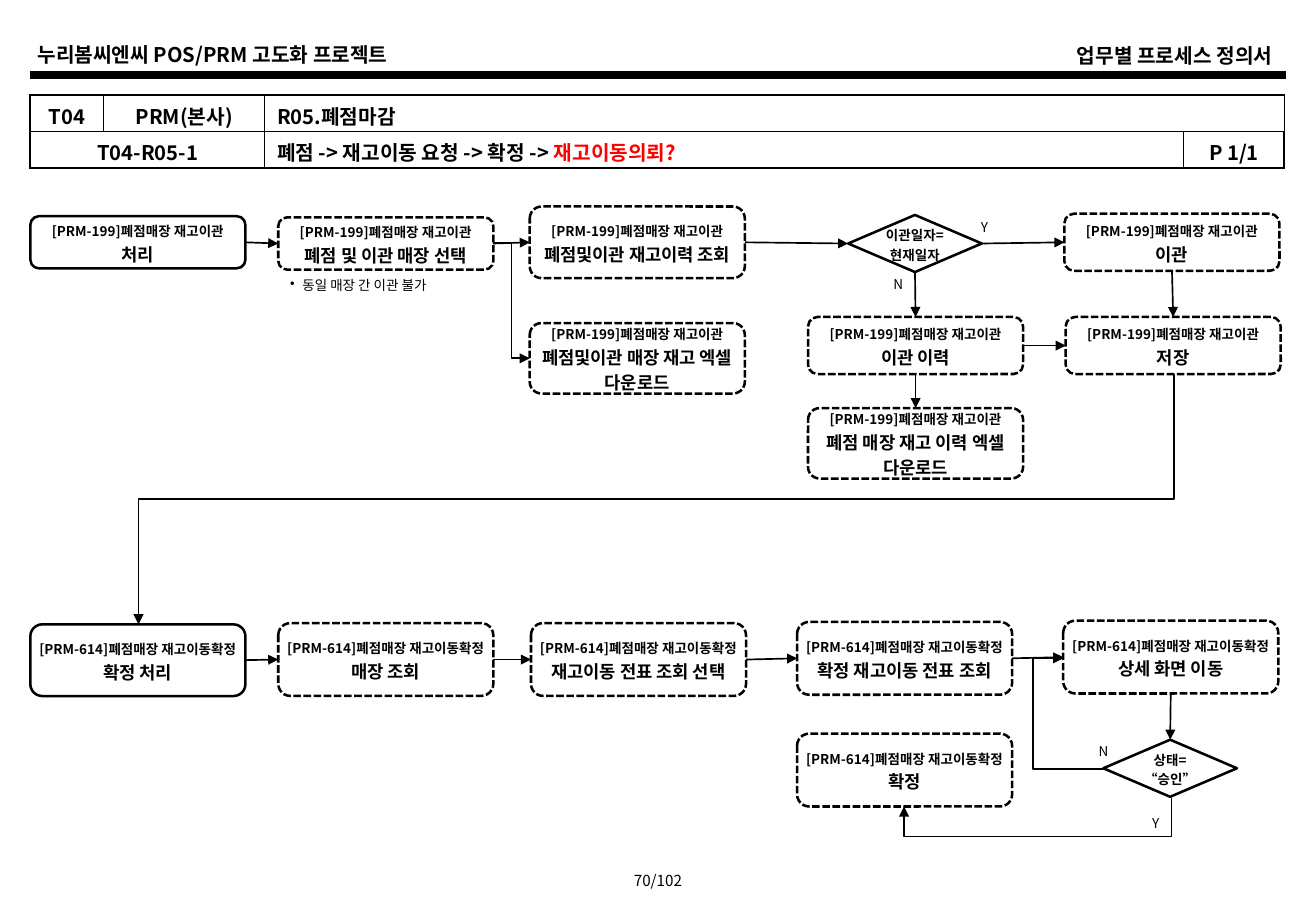
from lxml import etree
from pptx import Presentation, util as u
from pptx.dml.color import RGBColor
from pptx.enum import dml, shapes, text
from pptx.oxml import ns

PX = 9144  # EMU: 100 px to the inch
FONT = "Noto Sans CJK KR"
COLORS = {"ink": "000000", "paper": "FFFFFF", "alert": "FF0000"}
TOP, LEFT, BOTTOM, RIGHT = range(4)
ALIGN = text.PP_ALIGN

STORE_TRANSFER = "[PRM-199]폐점매장 재고이관"
TRANSFER_CONFIRM = "[PRM-614]폐점매장 재고이동확정"
STEP_WIDTH = 177

# key: left, top, height, screen, action
STEPS = {
    "transfer": (25, 178, 43, STORE_TRANSFER, "처리"),
    "pick_stores": (229, 179, 43, STORE_TRANSFER, "폐점 및 이관 매장 선택"),
    "stock_history": (436, 170, 59, STORE_TRANSFER, "폐점및이관 재고이력 조회"),
    "stock_excel": (436, 266, 58, STORE_TRANSFER, "폐점및이관 매장 재고 엑셀 다운로드"),
    "move": (876, 176, 47, STORE_TRANSFER, "이관"),
    "save": (877, 261, 47, STORE_TRANSFER, "저장"),
    "move_history": (665, 261, 47, STORE_TRANSFER, "이관 이력"),
    "history_excel": (665, 336, 58, STORE_TRANSFER, "폐점 매장 재고 이력 엑셀 다운로드"),
    "confirm_start": (25, 514, 59, TRANSFER_CONFIRM, "확정 처리"),
    "find_store": (229, 513, 60, TRANSFER_CONFIRM, "매장 조회"),
    "pick_slip": (437, 513, 60, TRANSFER_CONFIRM, "재고이동 전표 조회 선택"),
    "view_slip": (656, 512, 60, TRANSFER_CONFIRM, "확정 재고이동 전표 조회"),
    "detail": (875, 511, 60, TRANSFER_CONFIRM, "상세 화면 이동"),
    "confirm": (656, 604, 60, TRANSFER_CONFIRM, "확정"),
}
ENTRY_STEPS = {"transfer", "confirm_start"}

DECISIONS = {
    "date_check": (698, 177, "이관일자=", "현재일자"),
    "status_check": (908, 609, "상태=", "“승인”"),
}

ARROWS = [
    ("transfer", RIGHT, "pick_stores", LEFT),
    ("pick_stores", RIGHT, "stock_history", LEFT),
    ("stock_history", RIGHT, "date_check", LEFT),
    ("date_check", RIGHT, "move", LEFT),
    ("date_check", BOTTOM, "move_history", TOP),
    ("move", BOTTOM, "save", TOP),
    ("move_history", RIGHT, "save", LEFT),
    ("move_history", BOTTOM, "history_excel", TOP),
    ("confirm_start", RIGHT, "find_store", LEFT),
    ("find_store", RIGHT, "pick_slip", LEFT),
    ("pick_slip", RIGHT, "view_slip", LEFT),
    ("view_slip", RIGHT, "detail", LEFT),
    ("detail", BOTTOM, "status_check", TOP),
]

# start x, start y, end x, end y, bend as a share of the run, leaves downwards
BENT_ARROWS = [
    (406, 200, 436, 295, 0.5, False),
    (908, 633, 875, 542, 1.75, False),
    (964, 657, 744, 664, 4.52, True),
    (966, 308, 114, 514, 0.5, True),
]

BRANCH_LABELS = [(796, 175, 27, "Y"), (724, 222, 29, "N"),
                 (937, 666, 27, "Y"), (893, 606, 29, "N")]


def px(*lengths):
    return [round(length * PX) for length in lengths]


def rgb(color):
    return RGBColor.from_string(COLORS[color])


def add_xml(parent, tag, **attributes):
    return etree.SubElement(parent, ns.qn(tag), attributes)


def write(frame, *lines, size=8, bold=False, color="ink",
          align=ALIGN.CENTER, spacing=None):
    """Fill a text frame; a line is a list of (text, own format) runs."""
    for number, line in enumerate(lines):
        paragraph = frame.add_paragraph() if number else frame.paragraphs[0]
        paragraph.alignment = align
        if spacing:
            paragraph.line_spacing = spacing
        for words, own in line:
            run = paragraph.add_run()
            run.text = words
            font = run.font
            font.name = FONT
            font.size = u.Pt(own.get("size", size))
            font.bold = bold
            font.color.rgb = rgb(own.get("color", color))
            add_xml(font._element, "a:ea", typeface=FONT)


def add_label(slide, left, top, width, height, words, wrap=True, **style):
    box = slide.shapes.add_textbox(*px(left, top, width, height))
    frame = box.text_frame
    frame.word_wrap = wrap
    frame.vertical_anchor = text.MSO_ANCHOR.MIDDLE
    write(frame, [(words, {})], **style)
    return frame


def add_note(slide, left, top, width, height, words):
    frame = add_label(slide, left, top, width, height, words,
                      wrap=False, align=ALIGN.LEFT)
    properties = frame.paragraphs[0]._p.get_or_add_pPr()
    indent = px(10)[0]
    properties.set("marL", str(indent))
    properties.set("indent", str(-indent))
    add_xml(properties, "a:buChar", char="•")


def add_node(slide, kind, left, top, width, height, inset, *lines):
    node = slide.shapes.add_shape(kind, *px(left, top, width, height))
    node.shadow.inherit = False
    node.fill.solid()
    node.fill.fore_color.rgb = rgb("paper")
    node.line.color.rgb = rgb("ink")
    node.line.width = u.Pt(1.5)
    frame = node.text_frame
    frame.word_wrap = True
    frame.vertical_anchor = text.MSO_ANCHOR.MIDDLE
    frame.margin_left = frame.margin_top = px(inset)[0]
    frame.margin_right = frame.margin_bottom = px(inset)[0]
    write(frame, *lines, bold=True, spacing=1.2)
    return node


def add_step(slide, left, top, height, screen, action, dashed):
    step = add_node(slide, shapes.MSO_SHAPE.ROUNDED_RECTANGLE, left, top,
                    STEP_WIDTH, height, 4, [(screen, {})], [(action, {"size": 10.5})])
    if dashed:
        step.line.dash_style = dml.MSO_LINE.SQUARE_DOT
    return step


def add_decision(slide, left, top, *lines):
    return add_node(slide, shapes.MSO_SHAPE.FLOWCHART_DECISION, left, top,
                    110, 47, 0, *[[(line, {})] for line in lines])


def add_line(slide, kind, x1, y1, x2, y2, width=1, arrow=True):
    line = slide.shapes.add_connector(kind, *px(x1, y1, x2, y2))
    line.line.color.rgb = rgb("ink")
    line.line.width = u.Pt(width)
    if arrow:
        add_xml(line.line._get_or_add_ln(), "a:tailEnd", type="triangle")
    add_xml(line._element.spPr, "a:effectLst")
    return line


def join(slide, start, start_side, end, end_side):
    arrow = add_line(slide, shapes.MSO_CONNECTOR.STRAIGHT, 0, 0, 0, 0)
    arrow.begin_connect(start, start_side)
    arrow.end_connect(end, end_side)


def add_bent_arrow(slide, x1, y1, x2, y2, bend, downwards):
    """Draw an elbow; one that leaves downwards to the left is a quarter turn."""
    if downwards:
        run, rise = y2 - y1, x1 - x2
        left, top = (x1 + x2 - run) / 2, (y1 + y2 - rise) / 2
        x1, y1, x2, y2 = left, top, left + run, top + rise
    arrow = add_line(slide, shapes.MSO_CONNECTOR.ELBOW, x1, y1, x2, y2)
    properties = arrow._element.spPr
    if downwards:
        properties.find(ns.qn("a:xfrm")).set("rot", "5400000")
    guides = properties.find(ns.qn("a:prstGeom")).get_or_add_avLst()
    add_xml(guides, "a:gd", name="adj1", fmla=f"val {round(bend * 100000)}")


def set_borders(cell, **widths):
    properties = cell._tc.get_or_add_tcPr()
    for side, width in widths.items():
        border = add_xml(properties, f"a:ln{side}", w=str(u.Pt(width)))
        fill = add_xml(border, "a:solidFill")
        add_xml(fill, "a:srgbClr", val=COLORS["ink"])


def add_title_table(slide):
    table = slide.shapes.add_table(2, 4, *px(25, 78, 1032, 60)).table
    table.first_row = table.horz_banding = False
    for column, width in zip(table.columns, (60, 133, 756, 83)):
        column.width = px(width)[0]
    for y in range(2):
        table.rows[y].height = px(30)[0]
        for x in range(4):
            cell = table.cell(y, x)
            cell.margin_top, cell.margin_bottom = px(5, 0)
            set_borders(cell, L=0.75 if x else 1.5, R=1.5 if x == 3 else 0.75,
                        T=0.75 if y else 1.5, B=1.5 if y else 0.75)
            cell.fill.background()
    table.cell(0, 2).merge(table.cell(0, 3))
    table.cell(1, 0).merge(table.cell(1, 1))
    flow = [("폐점 -> 재고이동 요청 -> 확정 -> ", {}), ("재고이동의뢰?", {"color": "alert"})]
    for y, x, runs in [(0, 0, [("T04", {})]), (0, 1, [("PRM(본사)", {})]),
                       (0, 2, [("R05.폐점마감", {})]), (1, 0, [("T04-R05-1", {})]),
                       (1, 2, flow), (1, 3, [("P 1/1", {})])]:
        write(table.cell(y, x).text_frame, runs, size=12, bold=True,
              align=ALIGN.LEFT if x == 2 else ALIGN.CENTER)


def main():
    deck = Presentation()
    deck.slide_width, deck.slide_height = px(1083, 750)
    slide = deck.slides.add_slide(deck.slide_layouts[6])

    add_label(slide, 21, 30, 415, 30, "누리봄씨엔씨 POS/PRM 고도화 프로젝트",
              size=12, bold=True, align=ALIGN.LEFT)
    add_label(slide, 642, 31, 415, 30, "업무별 프로세스 정의서",
              size=12, bold=True, align=ALIGN.RIGHT)
    add_line(slide, shapes.MSO_CONNECTOR.STRAIGHT, 25, 62, 1058, 62, width=4.5, arrow=False)
    add_label(slide, 495, 712, 93, 25, "70/102", size=9)
    add_title_table(slide)

    nodes = {key: add_step(slide, *step, dashed=key not in ENTRY_STEPS)
             for key, step in STEPS.items()}
    for key, decision in DECISIONS.items():
        nodes[key] = add_decision(slide, *decision)
    for start, start_side, end, end_side in ARROWS:
        join(slide, nodes[start], start_side, nodes[end], end_side)
    for bent in BENT_ARROWS:
        add_bent_arrow(slide, *bent)
    for left, top, width, answer in BRANCH_LABELS:
        add_label(slide, left, top, width, 24, answer, wrap=False, align=ALIGN.RIGHT)
    add_note(slide, 229, 223, 147, 24, "동일 매장 간 이관 불가")

    deck.save("out.pptx")


if __name__ == "__main__":
    main()
